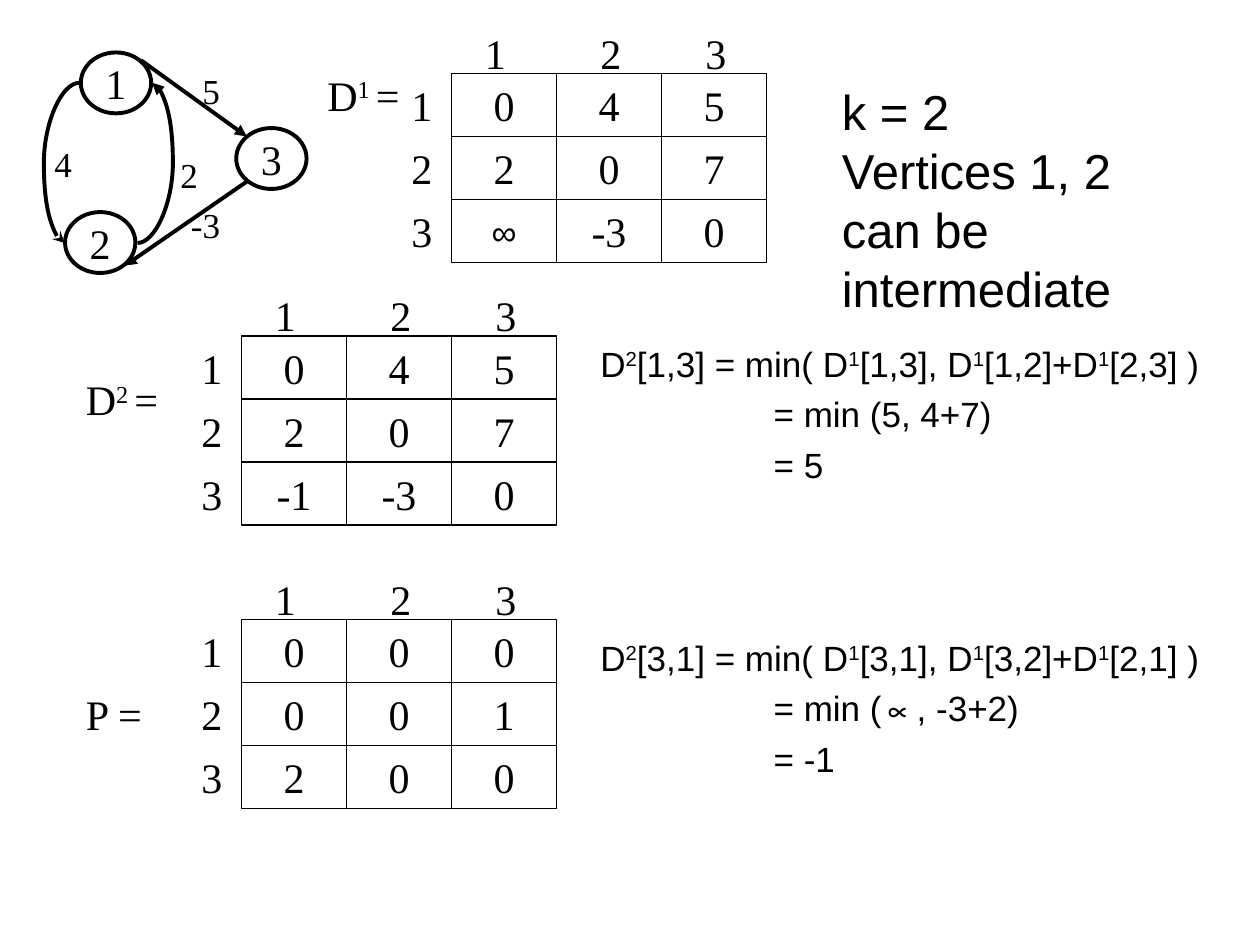
import dataclasses
import typing

import pptx
import pptx.dml.color
import pptx.enum.shapes
import pptx.enum.text
import pptx.oxml.ns
import pptx.oxml.xmlchemy
import pptx.util

WIDE, HIGH = 10, 7.5
COLS, ROWS = 120, 90
INK = "000000"
SERIF, SANS = "Times New Roman", "Arial"
CELL_W, CELL_H = 10, 6

SHAPE = pptx.enum.shapes.MSO_SHAPE
LINK = pptx.enum.shapes.MSO_CONNECTOR
ANCHOR = pptx.enum.text.MSO_ANCHOR
ALIGN = pptx.enum.text.PP_ALIGN
FIT = pptx.enum.text.MSO_AUTO_SIZE


class Run(typing.NamedTuple):
    text: str
    raised: bool = False


@dataclasses.dataclass
class Matrix:
    left: float
    top: float
    rows: list[list[str]]


@dataclasses.dataclass
class Label:
    left: float
    top: float
    runs: list[Run]
    size: float = 24
    wide: float = 4.4
    high: float = 6


@dataclasses.dataclass
class Node:
    name: str
    left: float
    top: float


@dataclasses.dataclass
class Edge:
    start: tuple[float, float]
    end: tuple[float, float]
    bend: float | None = None
    tip: str = "tailEnd"
    style: str = "triangle"


@dataclasses.dataclass
class Proof:
    top: float
    lines: list[list[Run]]


def across(count: float) -> int:
    return pptx.util.Inches(WIDE * count / COLS)


def down(count: float) -> int:
    return pptx.util.Inches(HIGH * count / ROWS)


def place(left: float, top: float, wide: float, high: float) -> tuple:
    return across(left), down(top), across(wide), down(high)


def paint(target, code: str) -> None:
    target.rgb = pptx.dml.color.RGBColor.from_string(code)


def script(text: str) -> list[Run]:
    """Split text at carets; each caret raises the digit after it."""
    first, *rest = text.split("^")
    runs = [Run(first)]
    for part in rest:
        runs += [Run(part[0], True), Run(part[1:])]
    return runs


def write(para, runs: list[Run], size: float, font: str) -> None:
    for item in runs:
        run = para.add_run()
        run.text = item.text
        run.font.name, run.font.size = font, pptx.util.Pt(size)
        paint(run.font.color, INK)
        if item.raised:
            run.font._element.set("baseline", "30000")


def draw_shape(slide, kind, spot: tuple, text: str, weight: float,
               size: float = 24, font: str = SERIF) -> None:
    shape = slide.shapes.add_shape(kind, *spot)
    shape.shadow.inherit = False
    shape.fill.background()
    paint(shape.line.color, INK)
    shape.line.width = pptx.util.Pt(weight)
    frame = shape.text_frame
    frame.word_wrap = False
    frame.vertical_anchor = ANCHOR.MIDDLE
    frame.paragraphs[0].alignment = ALIGN.CENTER
    write(frame.paragraphs[0], [Run(text)], size, font)


def draw_label(slide, label: Label) -> None:
    box = slide.shapes.add_textbox(
        *place(label.left, label.top, label.wide, label.high))
    box.text_frame.word_wrap = False
    box.text_frame.auto_size = FIT.SHAPE_TO_FIT_TEXT
    write(box.text_frame.paragraphs[0], label.runs, label.size, SERIF)


def draw_matrix(slide, matrix: Matrix) -> None:
    for row, values in enumerate(matrix.rows):
        top = matrix.top + row * CELL_H
        for col, value in enumerate(values):
            spot = place(matrix.left + col * CELL_W, top, CELL_W, CELL_H)
            look = (20, SANS) if value == "∞" else (24, SERIF)
            draw_shape(slide, SHAPE.RECTANGLE, spot, value, 1, *look)
        draw_label(slide, Label(matrix.left - 5, top, [Run(str(row + 1))]))
    for name, shift in zip("123", (2, 13, 23)):
        draw_label(slide, Label(matrix.left + shift, matrix.top - 5,
                                [Run(name)]))


def draw_edge(slide, edge: Edge) -> None:
    kind = LINK.STRAIGHT if edge.bend is None else LINK.CURVE
    line = slide.shapes.add_connector(
        kind, across(edge.start[0]), down(edge.start[1]),
        across(edge.end[0]), down(edge.end[1]))
    paint(line.line.color, INK)
    line.line.width = pptx.util.Pt(2.25)
    props = line._element.spPr
    make, name = pptx.oxml.xmlchemy.OxmlElement, pptx.oxml.ns.qn
    tip = make(f"a:{edge.tip}")
    tip.set("type", edge.style)
    props.find(name("a:ln")).append(tip)
    props.append(make("a:effectLst"))
    if edge.bend is not None:
        guide = make("a:gd")
        guide.set("name", "adj1")
        guide.set("fmla", f"val {round(edge.bend * 100000)}")
        props.find(name("a:prstGeom")).find(name("a:avLst")).append(guide)


def draw_proof(slide, proof: Proof) -> None:
    box = slide.shapes.add_textbox(*place(56, proof.top, 60, 20))
    frame = box.text_frame
    frame.word_wrap = True
    for index, runs in enumerate(proof.lines):
        para = frame.add_paragraph() if index else frame.paragraphs[0]
        if index:
            para.space_before = pptx.util.Pt(5)
            para._p.get_or_add_pPr().set("marL", str(across(16.5)))
        write(para, runs, 20, SANS)


def draw_title(slide) -> None:
    box = slide.shapes.add_textbox(*place(79, 8, 35, 22))
    frame = box.text_frame
    frame.word_wrap = True
    frame.vertical_anchor = ANCHOR.MIDDLE
    para = frame.paragraphs[0]
    write(para, [Run("k = 2")], 28, SANS)
    para.add_line_break()
    write(para, [Run("Vertices 1, 2 can be intermediate")], 28, SANS)


MATRICES = [
    Matrix(23, 32, [["0", "4", "5"], ["2", "0", "7"], ["-1", "-3", "0"]]),
    Matrix(23, 59, [["0", "0", "0"], ["0", "0", "1"], ["2", "0", "0"]]),
    Matrix(43, 7, [["0", "4", "5"], ["2", "0", "7"], ["∞", "-3", "0"]]),
]
LABELS = [
    Label(7, 35, [Run("D"), Run("2 ", True), Run("=")], wide=9.6),
    Label(7, 65, [Run("P =")], wide=7.9),
    Label(30, 6, [Run("D"), Run("1 ", True), Run("=")], wide=9.6),
    Label(18.1, 6, [Run("5")], 20, 4.1, 5.2),
    Label(17, 18.8, [Run("-3")], 20, 5.2, 5.2),
    Label(16, 14, [Run("2")], 20, 4.1, 5.2),
    Label(4, 13, [Run("4")], 20, 4.1, 5.2),
]
NODES = [Node("1", 7.7, 5), Node("2", 6.2, 20.2), Node("3", 22.5, 12.2)]
EDGES = [
    Edge((13.45, 5.75), (23.5, 13)),
    Edge((23.5, 17.3), (11.9, 25.3)),
    Edge((6.15, 23.15), (7.55, 7.9), -1.41, "headEnd", "stealth"),
    Edge((13.1, 23.15), (14.5, 7.9), 2.41),
]
PROOFS = [
    Proof(32, [script("D^2[1,3] = min( D^1[1,3], D^1[1,2]+D^1[2,3] )"),
               script("= min (5, 4+7)"), script("= 5")]),
    Proof(60, [script("D^2[3,1] = min( D^1[3,1], D^1[3,2]+D^1[2,1] )"),
               script("= min (∝, -3+2)"), script("= -1")]),
]


def main() -> None:
    deck = pptx.Presentation()
    deck.slide_width = pptx.util.Inches(WIDE)
    deck.slide_height = pptx.util.Inches(HIGH)
    slide = deck.slides.add_slide(deck.slide_layouts[6])
    for matrix in MATRICES:
        draw_matrix(slide, matrix)
    for proof in PROOFS:
        draw_proof(slide, proof)
    for node in NODES:
        spot = place(node.left, node.top, 6.7, 5.8)
        draw_shape(slide, SHAPE.OVAL, spot, node.name, 2.25)
    for edge in EDGES:
        draw_edge(slide, edge)
    for label in LABELS:
        draw_label(slide, label)
    draw_title(slide)
    deck.save("out.pptx")


if __name__ == "__main__":
    main()
